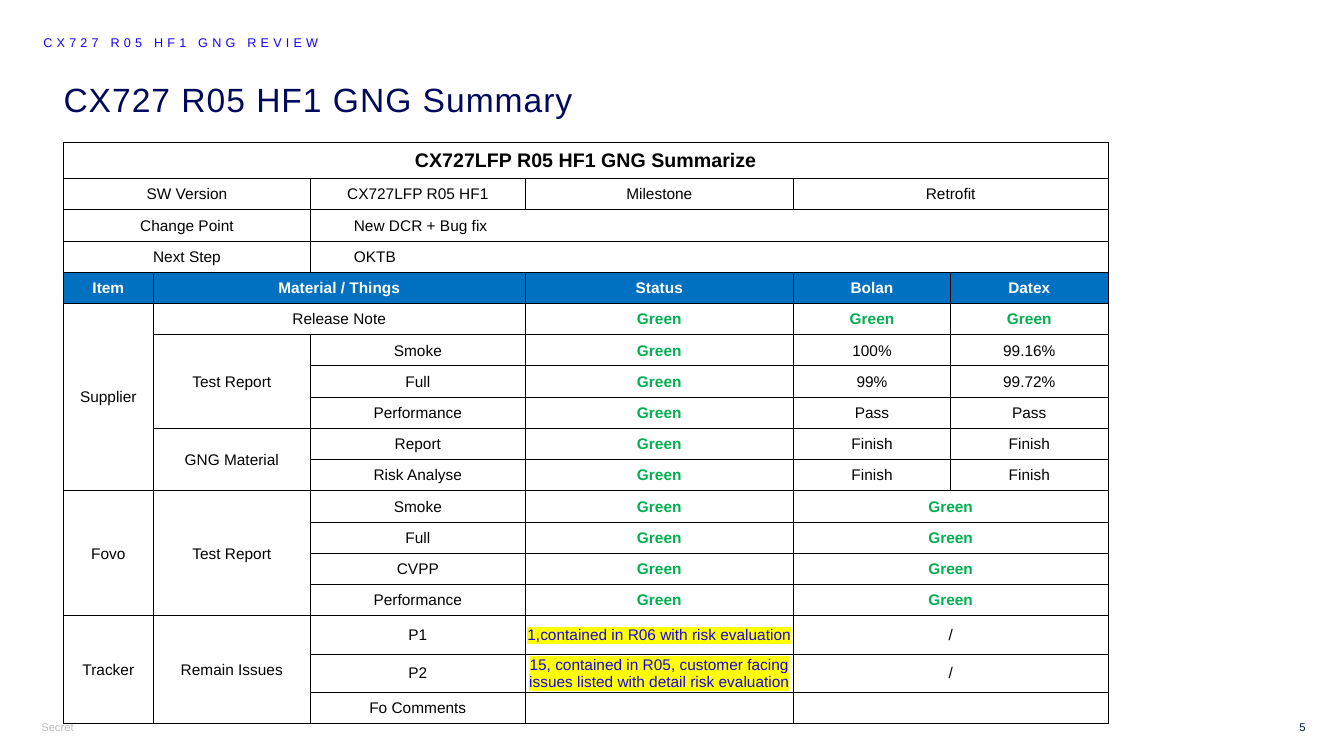
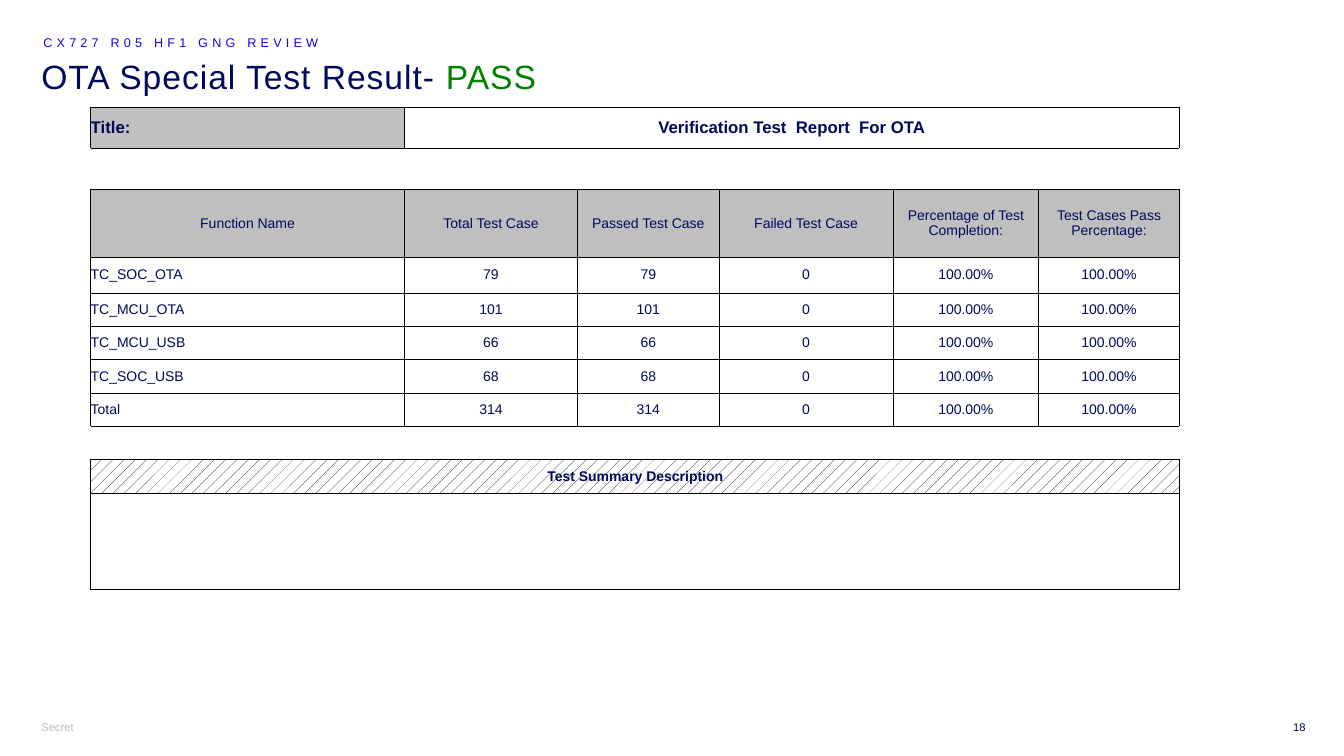
from lxml import etree
from pptx import Presentation
from pptx.dml.color import RGBColor
from pptx.enum.dml import MSO_PATTERN
from pptx.enum.text import MSO_ANCHOR, PP_ALIGN
from pptx.oxml.ns import qn
from pptx.util import Inches, Pt

LEFT, MID, RIGHT = PP_ALIGN.LEFT, PP_ALIGN.CENTER, PP_ALIGN.RIGHT
TOP, CENTER = MSO_ANCHOR.TOP, MSO_ANCHOR.MIDDLE
DOTS = MSO_PATTERN.PERCENT_10
FONT = "Arial"
WIDE, HIGH = 13.33, 7.5
HUE = {
    "navy": "00095B", "blue": "1700F3", "pass": "008200", "mute": "B9BCBD",
    "black": "000000", "white": "FFFFFF", "head": "0070C0", "green": "00B050",
    "mark": "FFFF00", "gray": "BFBFBF", "label": "C0C0C0",
}


def write(para, text, size=11, hue="black", bold=False, align=LEFT,
          gap=0, mark=None, line=None):
    """Append a run; gap is letter spacing in points, mark a highlight."""
    para.alignment = align
    if line:
        para.line_spacing = line
    run = para.add_run()
    run.text = text
    font = run.font
    font.name, font.size, font.bold = FONT, Pt(size), bold
    font.color.rgb = RGBColor.from_string(HUE[hue])
    props = run._r.get_or_add_rPr()
    if gap:
        props.set("spc", str(round(gap * 100)))
    if mark:
        glow = etree.Element(qn("a:highlight"))
        etree.SubElement(glow, qn("a:srgbClr"), val=HUE[mark])
        props.find(qn("a:solidFill")).addnext(glow)


def grid(slide, at, cols, rows, cells, inset, base, by_col, by_row, by_word):
    """Draw a table; '<' joins a cell to its left one, '^' to the one above."""
    frame = slide.shapes.add_table(
        len(rows), len(cols), Inches(at[0]), Inches(at[1]),
        Inches(sum(cols)), Inches(sum(rows)))
    table = frame.table
    table.first_row = table.horz_banding = False
    for col, width in zip(table.columns, cols):
        col.width = Inches(width)
    for row, height in zip(table.rows, rows):
        row.height = Inches(height)
    for r, line in enumerate(cells):
        for c, word in enumerate(line):
            cell = table.cell(r, c)
            look = {**base, **by_col.get(c, {}), **by_row.get(r, {}),
                    **by_word.get(word, {})}
            fill, sides = look.pop("fill", "white"), look.pop("sides", "LRTB")
            pad = look.pop("pad", inset)
            cell.margin_left, cell.margin_right = Inches(pad), Inches(inset)
            cell.margin_top, cell.margin_bottom = Inches(inset), 0
            cell.vertical_anchor = CENTER
            props = cell._tc.get_or_add_tcPr()
            for side in sides:
                edge = etree.SubElement(props, qn(f"a:ln{side}"), w=str(Pt(0.5)))
                ink = etree.SubElement(edge, qn("a:solidFill"))
                etree.SubElement(ink, qn("a:srgbClr"), val=HUE["black"])
            if fill == "dots":
                cell.fill.patterned()
                cell.fill.pattern = DOTS
                cell.fill.fore_color.rgb = RGBColor.from_string(HUE["black"])
                cell.fill.back_color.rgb = RGBColor.from_string(HUE["white"])
            else:
                cell.fill.solid()
                cell.fill.fore_color.rgb = RGBColor.from_string(HUE[fill])
            if word in ("<", "^"):
                continue
            if word:
                write(cell.text_frame.paragraphs[0], word, **look)
            right, low = c, r
            while right + 1 < len(cols) and line[right + 1] == "<":
                right += 1
            while low + 1 < len(rows) and cells[low + 1][c] == "^":
                low += 1
            if (right, low) != (c, r):
                cell.merge(table.cell(low, right))


deck = Presentation()
deck.slide_width, deck.slide_height = Inches(WIDE), Inches(HIGH)

# Shared frame: title, heading above it, footer and page number
pages = []
for left, top, page, parts in (
    (0.63, 0.78, "5", [("CX727 R05 HF1 GNG Summary", "navy")]),
    (0.41, 0.55, "18", [("OTA Special Test Result- ", "navy"), ("PASS", "pass")]),
):
    slide = deck.slides.add_slide(deck.slide_layouts[5])
    pages.append(slide)
    title = slide.shapes.title
    title.left, title.top = Inches(left), Inches(top)
    title.width, title.height = Inches(11.5), Inches(0.75)
    boxes = [(title, parts, dict(size=24, gap=0.7, line=0.9))]
    for x, y, width, text, hue, look in (
        (0.43, 0.31, 5.95, "CX727 R05 HF1 GNG REVIEW", "blue",
         dict(size=9, gap=3, line=0.9)),
        (0.41, 7.1, 0.43, "Secret", "mute", dict(size=8)),
        (12.6, 7.1, 0.35, page, "navy", dict(size=8, align=RIGHT)),
    ):
        box = slide.shapes.add_textbox(
            Inches(x), Inches(y), Inches(width), Inches(0.24))
        boxes.append((box, [(text, hue)], look))
    for box, runs, look in boxes:
        frame = box.text_frame
        frame.word_wrap, frame.vertical_anchor = True, TOP
        frame.margin_left = frame.margin_right = 0
        frame.margin_top = frame.margin_bottom = Inches(0.05)
        for text, hue in runs:
            write(frame.paragraphs[0], text, hue=hue, **look)

# Summary table
first = "1,contained in R06 with risk evaluation"
second = "15, contained in R05, customer facing issues listed with detail risk evaluation"
risk = dict(hue="blue", mark="mark")
shift = dict(align=LEFT, pad=0.43)
grid(
    pages[0], (0.63, 1.41),
    [0.89, 1.56, 2.13, 2.66, 1.56, 1.56],
    [0.36] + [0.31] * 14 + [0.38, 0.35, 0.31],
    [
        ["CX727LFP R05 HF1 GNG Summarize", "<", "<", "<", "<", "<"],
        ["SW Version", "<", "CX727LFP R05 HF1", "Milestone", "Retrofit", "<"],
        ["Change Point", "<", "New DCR + Bug fix", "<", "<", "<"],
        ["Next Step", "<", "OKTB", "<", "<", "<"],
        ["Item", "Material / Things", "<", "Status", "Bolan", "Datex"],
        ["Supplier", "Release Note", "<", "Green", "Green", "Green"],
        ["^", "Test Report", "Smoke", "Green", "100%", "99.16%"],
        ["^", "^", "Full", "Green", "99%", "99.72%"],
        ["^", "^", "Performance", "Green", "Pass", "Pass"],
        ["^", "GNG Material", "Report", "Green", "Finish", "Finish"],
        ["^", "^", "Risk Analyse", "Green", "Finish", "Finish"],
        ["Fovo", "Test Report", "Smoke", "Green", "Green", "<"],
        ["^", "^", "Full", "Green", "Green", "<"],
        ["^", "^", "CVPP", "Green", "Green", "<"],
        ["^", "^", "Performance", "Green", "Green", "<"],
        ["Tracker", "Remain Issues", "P1", first, "/", "<"],
        ["^", "^", "P2", second, "/", "<"],
        ["^", "^", "Fo Comments", "", "", "<"],
    ],
    inset=0.01, base=dict(size=11, align=MID), by_col={},
    by_row={0: dict(size=14, bold=True),
            4: dict(hue="white", bold=True, fill="head")},
    by_word={"Green": dict(hue="green", bold=True), first: risk, second: risk,
             "New DCR + Bug fix": shift, "OKTB": shift},
)

# Test report table
tests = [("TC_SOC_OTA", "79"), ("TC_MCU_OTA", "101"), ("TC_MCU_USB", "66"),
         ("TC_SOC_USB", "68"), ("Total", "314")]
blank = [""] + ["<"] * 5
space = dict(sides="TB")
grid(
    pages[1], (0.9, 1.06),
    [3.11, 1.72, 1.4, 1.73, 1.44, 1.4],
    [0.41, 0.41, 0.67, 0.36] + [0.33] * 5 + [0.34, 0.95],
    [
        ["Title:", "Verification Test  Report  For OTA", "<", "<", "<", "<"],
        blank,
        ["Function Name", "Total Test Case", "Passed Test Case",
         "Failed Test Case", "Percentage of Test Completion:",
         "Test Cases Pass Percentage:"],
        *[[name, count, count, "0", "100.00%", "100.00%"]
          for name, count in tests],
        blank,
        ["Test Summary Description"] + ["<"] * 5,
        blank,
    ],
    inset=0, base=dict(size=10, hue="navy", align=MID),
    by_col={0: dict(align=LEFT)},
    by_row={0: dict(size=12, bold=True), 1: space,
            2: dict(fill="gray", align=MID), 8: space,
            9: dict(fill="dots", bold=True, align=MID)},
    by_word={"Title:": dict(fill="label")},
)

deck.save("out.pptx")
